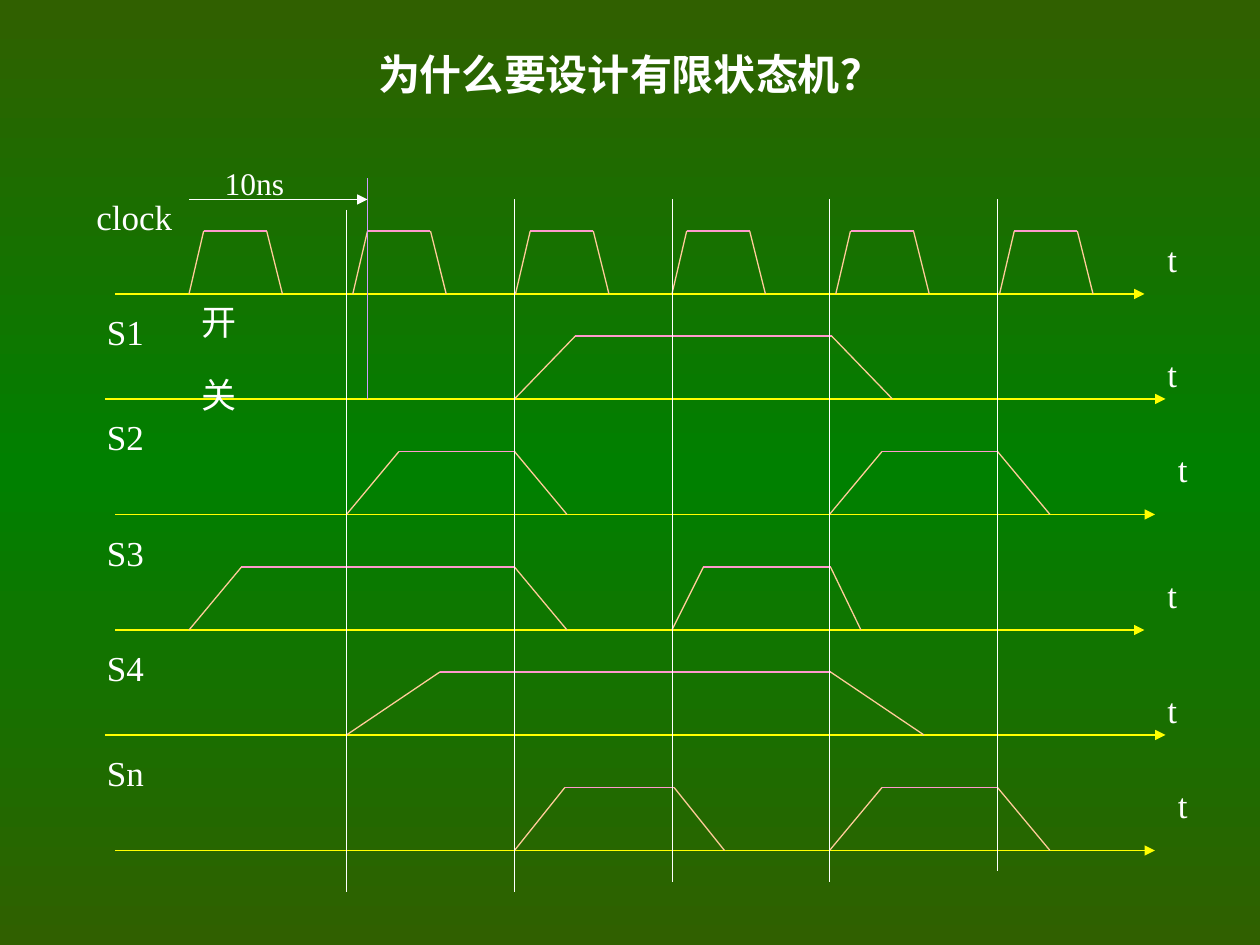
"""Builds the timing diagram slide that motivates finite state machines."""
from copy import deepcopy
from dataclasses import dataclass

from lxml import etree
from pptx import Presentation
from pptx.dml.color import RGBColor
from pptx.enum.shapes import MSO_CONNECTOR
from pptx.enum.text import MSO_ANCHOR, PP_ALIGN
from pptx.oxml import parse_xml
from pptx.oxml.ns import nsdecls, qn
from pptx.util import Pt

STRAIGHT = MSO_CONNECTOR.STRAIGHT
MIDDLE = MSO_ANCHOR.MIDDLE
CENTER = PP_ALIGN.CENTER
PX = 7620


@dataclass(frozen=True)
class Theme:
    font: str = "Times New Roman"
    text: str = "FFFFFF"
    edge: str = "306000"
    middle: str = "008000"
    axis: str = "FFFF00"
    pulse_top: str = "FF99CC"
    pulse_side: str = "FFCC99"
    marker: str = "CC99FF"
    title_size: int = 24
    label_size: int = 20
    period_size: int = 18
    line_width: float = 0.75
    guide_width: float = 0.25


theme = Theme()

presentation = Presentation()
presentation.slide_width = 1200 * PX
presentation.slide_height = 900 * PX
slide = presentation.slides.add_slide(presentation.slide_layouts[5])

fill = slide.background.fill
fill.gradient()
fill.gradient_angle = 90
first_stop, last_stop = fill.gradient_stops
first_stop.color.rgb = RGBColor.from_string(theme.edge)
last_stop.color.rgb = RGBColor.from_string(theme.middle)
stop_list = slide.element.find(".//" + qn("a:gsLst"))
stop_list.append(deepcopy(stop_list[0]))
for stop, position in zip(fill.gradient_stops, (0, 0.5, 1)):
    stop.position = position


def add_line(start, end, color, width=theme.line_width, arrow=False):
    line = slide.shapes.add_connector(STRAIGHT, *(value * PX for value in start + end))
    line.line.color.rgb = RGBColor.from_string(color)
    line.line.width = Pt(width)
    if arrow:
        tail = etree.SubElement(line.line._get_or_add_ln(), qn("a:tailEnd"))
        tail.set("type", "triangle")
    properties = line._element.spPr
    etree.SubElement(properties, qn("a:effectLst"))


def add_label(text, left, top, width, size=theme.label_size, indent=12):
    box = slide.shapes.add_textbox(left * PX, top * PX, width * PX, 53 * PX)
    frame = box.text_frame
    frame.word_wrap = True
    frame.margin_left = indent * PX
    run = frame.paragraphs[0].add_run()
    run.text = text
    run.font.name = theme.font
    run.font.size = Pt(size)
    run.font.color.rgb = RGBColor.from_string(theme.text)


title = slide.shapes.title
title.left, title.top, title.width, title.height = 90 * PX, 30 * PX, 1020 * PX, 80 * PX
title.text_frame.vertical_anchor = MIDDLE
paragraph = title.text_frame.paragraphs[0]
paragraph.alignment = CENTER
run = paragraph.add_run()
run.text = "为什么要设计有限状态机？"
run.font.name = theme.font
run.font.size = Pt(theme.title_size)
run.font.bold = True
run.font.color.rgb = RGBColor.from_string(theme.text)
shadow = parse_xml(
    f'<a:effectLst {nsdecls("a")}><a:outerShdw dist="25400" dir="2700000">'
    '<a:srgbClr val="000000"/></a:outerShdw></a:effectLst>'
)
run.font.fill._xPr.find(qn("a:solidFill")).addnext(shadow)

clock_pulses = [
    (start, start + 14, start + 74, start + 89)
    for start in (180, 336, 491, 640, 796, 952)
]
late_pulse = (790, 840, 950, 1000)
signals = [
    ("clock", (80, 180, 110), (110, 1090), 280, (1100, 220), clock_pulses),
    ("S1", (90, 290, 70), (100, 1110), 380, (1100, 330), [(490, 548, 792, 850)]),
    ("S2", (90, 390, 70), (110, 1100), 490, (1110, 420), [(330, 380, 490, 540), late_pulse]),
    ("S3", (90, 500, 70), (110, 1090), 600, (1100, 540), [(180, 230, 490, 540), (640, 670, 791, 820)]),
    ("S4", (90, 610, 70), (100, 1110), 700, (1100, 650), [(330, 419, 791, 880)]),
    ("Sn", (90, 710, 70), (110, 1100), 810, (1110, 740), [(490, 538, 642, 690), late_pulse]),
]
for name, label_box, (axis_start, axis_end), base, time_place, pulses in signals:
    add_label(name, *label_box)
    add_label("t", *time_place, 60)
    add_line((axis_start, base), (axis_end, base), theme.axis, arrow=True)
    high = base - 60
    for start, rise, fall, end in pulses:
        add_line((rise, high), (fall, high), theme.pulse_top)
        add_line((fall, high), (end, base), theme.pulse_side)
        add_line((rise, high), (start, base), theme.pulse_side)

for x, top, bottom in [(330, 200, 850), (490, 190, 850), (640, 190, 840), (790, 190, 840), (950, 190, 830)]:
    add_line((x, top), (x, bottom), theme.text, theme.guide_width)

add_line((350, 170), (350, 380), theme.marker)
add_line((180, 190), (350, 190), theme.text, arrow=True)
add_label("10ns", 180, 150, 150, theme.period_size, indent=34)
add_label("开", 180, 280, 60)
add_label("关", 180, 350, 60)

presentation.save("out.pptx")
